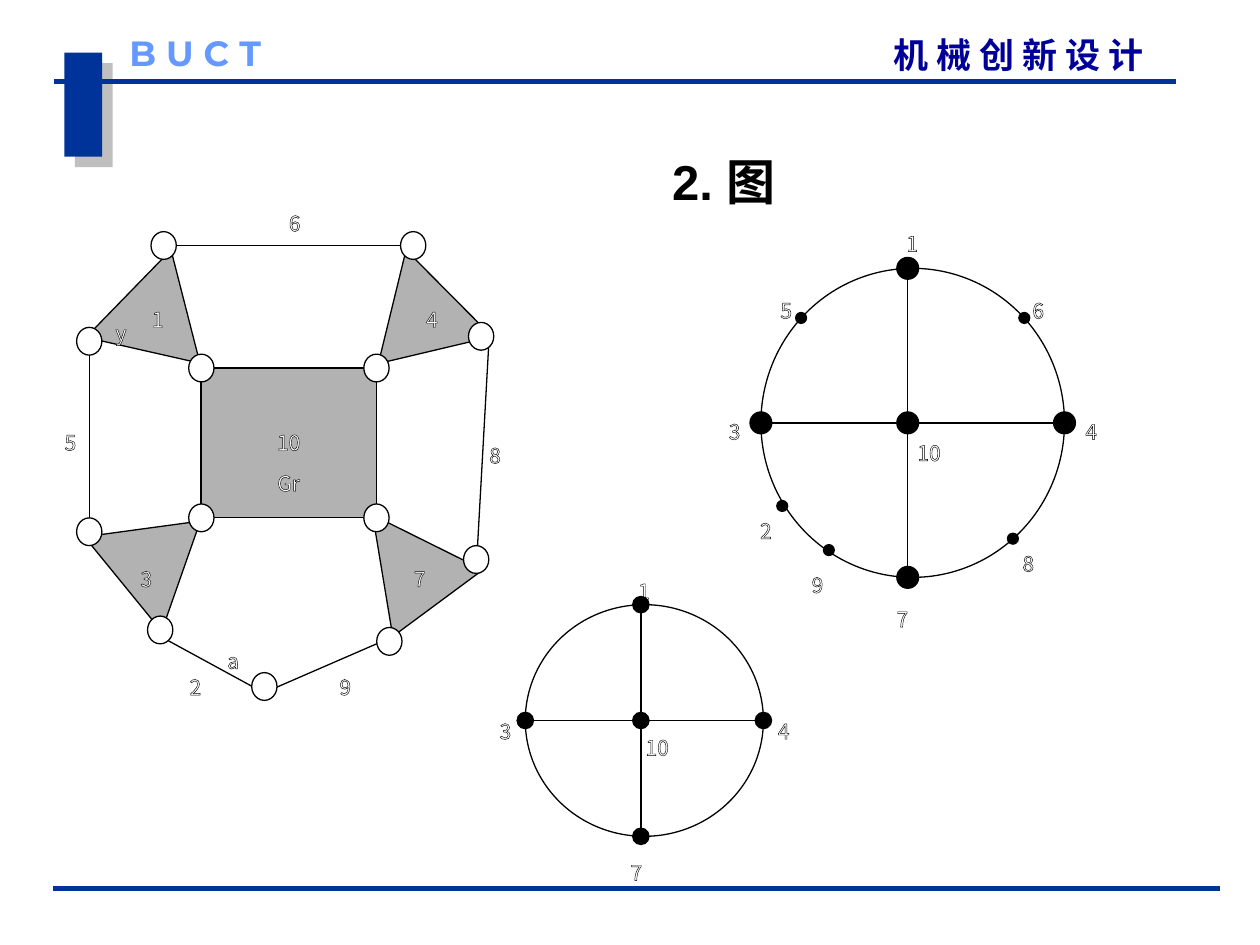
from dataclasses import dataclass

from lxml import etree
from pptx import Presentation
from pptx.dml.color import RGBColor
from pptx.enum.shapes import MSO_CONNECTOR, MSO_SHAPE
from pptx.enum.text import PP_ALIGN
from pptx.oxml import parse_xml
from pptx.oxml.ns import nsdecls, qn
from pptx.util import Cm, Pt

RECT, OVAL, TRIANGLE = MSO_SHAPE.RECTANGLE, MSO_SHAPE.OVAL, MSO_SHAPE.ISOSCELES_TRIANGLE
STRAIGHT = MSO_CONNECTOR.STRAIGHT
LEFT, CENTER = PP_ALIGN.LEFT, PP_ALIGN.CENTER


@dataclass(frozen=True)
class Theme:
    blue: str = "003399"
    navy: str = "000099"
    sky: str = "6699FF"
    black: str = "000000"
    white: str = "FFFFFF"
    gray: str = "B2B2B2"
    shadow: str = "808080"
    cjk: str = "Noto Sans CJK SC"
    brand: str = "Montserrat"
    latin: str = "Arial"
    title: int = 28
    header: int = 20
    label: int = 12
    thin: float = 0.75
    rule: float = 3


T = Theme()

prs = Presentation()
prs.slide_width, prs.slide_height = Cm(25.4), Cm(19.05)
s = prs.slides.add_slide(prs.slide_layouts[6])


def add_shape(kind, cx, cy, w, h, fill, line=T.black, angle=0):
    """Add a preset shape around its centre."""
    sp = s.shapes.add_shape(kind, Cm(cx - w / 2), Cm(cy - h / 2), Cm(w), Cm(h))
    sp.shadow.inherit = False
    sp.rotation = angle
    sp.fill.solid()
    sp.fill.fore_color.rgb = RGBColor.from_string(fill)
    if line:
        sp.line.color.rgb = RGBColor.from_string(line)
        sp.line.width = Pt(T.thin)
    else:
        sp.line.fill.background()
    return sp


def add_text(text, x, y, w, h, size, font, color, align=LEFT, bold=True):
    """Add a one-line text box without margins and return its paragraph."""
    tf = s.shapes.add_textbox(Cm(x), Cm(y), Cm(w), Cm(h)).text_frame
    tf.word_wrap = False
    tf.margin_left = tf.margin_right = tf.margin_top = tf.margin_bottom = 0
    p = tf.paragraphs[0]
    p.text = text
    p.alignment = align
    p.font.size, p.font.bold, p.font.name = Pt(size), bold, font
    p.font.color.rgb = RGBColor.from_string(color)
    rpr = p._p.pPr.find(qn("a:defRPr"))
    etree.SubElement(rpr, qn("a:ea")).set("typeface", T.cjk)
    return p


# Header: bar with shadow, institution, course name
bar = add_shape(RECT, 1.68, 2.11, 0.76, 2.1, T.blue, line=None)
effects = bar._element.spPr.find(qn("a:effectLst"))
effects.append(parse_xml(
    f'<a:outerShdw {nsdecls("a")} dist="{Pt(8.5)}" dir="2700000" algn="ctr" rotWithShape="0">'
    f'<a:srgbClr val="{T.shadow}"><a:alpha val="50000"/></a:srgbClr></a:outerShdw>'))
add_text("B U C T", 2.61, 0.64, 3.6, 0.84, T.header, T.brand, T.sky)
add_text("机 械 创 新 设 计", 18.02, 0.68, 5.8, 0.84, T.header, T.cjk, T.navy)

# Title
add_text("2. 图", 13.55, 3.05, 4.3, 1.2, T.title, T.latin, T.black)

# Header and footer rules, then the links of the mechanism
lines = [
    (1.09, 1.65, 23.7, 1.65, T.blue, T.rule),
    (1.07, 17.91, 24.59, 17.91, T.blue, T.rule),
]
links = [
    (3.3, 4.95, 8.33, 4.95), (9.86, 6.81, 9.6, 11.48), (1.8, 6.76, 1.8, 10.9),
    (3.18, 12.8, 5.18, 13.89), (5.31, 13.97, 7.82, 12.88),
]
lines += [(*link, T.black, T.thin) for link in links]

# Mechanism: frame and triangular links
add_shape(RECT, 5.82, 8.93, 3.53, 3.02, T.gray)
for cx, cy, w, h, angle in [
    (8.34, 6.62, 2.46, 2.01, 225.2), (3.31, 6.62, 2.46, 2.01, 134.2),
    (3.26, 11.14, 2.46, 2.01, 50.8), (8.17, 11.27, 2.26, 2.21, 323.5),
]:
    add_shape(TRIANGLE, cx, cy, w, h, T.gray, angle=angle)

# Graphs: circle, two chords and five main vertices each
nodes = []
for left, top, w, h, hub_x, d in [
    (15.34, 5.41, 6.12, 6.23, 18.3, 0.44),
    (10.59, 12.19, 4.8, 4.67, 12.92, 0.33),
]:
    right, bottom, hub_y = left + w, top + h, top + h / 2
    add_shape(OVAL, left + w / 2, hub_y, w, h, T.white)
    lines += [(left, hub_y, right, hub_y, T.black, T.thin),
              (hub_x, top, hub_x, bottom, T.black, T.thin)]
    nodes += [(x, y, d, d, T.black) for x, y in [
        (left, hub_y), (hub_x, hub_y), (right, hub_y), (hub_x, top), (hub_x, bottom)]]

for x1, y1, x2, y2, color, width in lines:
    c = s.shapes.add_connector(STRAIGHT, Cm(x1), Cm(y1), Cm(x2), Cm(y2))
    c.line.color.rgb = RGBColor.from_string(color)
    c.line.width = Pt(width)
    etree.SubElement(c._element.spPr, qn("a:effectLst"))

# Labels: text, centre, top
labels = [
    # mechanism
    ("1", 3.18, 6.18), ("2", 3.94, 13.59), ("3", 2.95, 11.41), ("4", 8.71, 6.18),
    ("5", 1.42, 8.66), ("6", 5.94, 4.24), ("7", 8.46, 11.41), ("8", 9.98, 8.92),
    ("9", 6.96, 13.59), ("10", 5.82, 8.66), ("Gr", 5.82, 9.48), ("a", 4.7, 13.06),
    ("y", 2.44, 6.45),
    # large graph
    ("1", 18.39, 4.65), ("2", 15.44, 10.44), ("3", 14.81, 8.44), ("4", 22, 8.44),
    ("5", 15.85, 6), ("6", 20.93, 6), ("7", 18.19, 12.22), ("8", 20.73, 11.1),
    ("9", 16.48, 11.53), ("10", 18.73, 8.87),
    # small graph
    ("1", 12.98, 11.66), ("3", 10.19, 14.48), ("4", 15.8, 14.48), ("7", 12.83, 17.33),
    ("10", 13.25, 14.81),
]
label_w, label_h = 0.8, 0.6
for text, cx, top in labels:
    p = add_text(text, cx - label_w / 2, top, label_w, label_h, T.label, T.cjk, T.white,
                 align=CENTER, bold=False)
    outline = parse_xml(
        f'<a:ln {nsdecls("a")} w="{Pt(T.thin)}"><a:solidFill>'
        f'<a:srgbClr val="{T.black}"/></a:solidFill></a:ln>')
    p._p.pPr.find(qn("a:defRPr")).insert(0, outline)

# Minor vertices of the large graph and joints of the mechanism
nodes += [(x, y, 0.22, 0.22, T.black) for x, y in [
    (16.71, 11.09), (15.77, 10.2), (20.42, 10.86), (20.65, 6.41), (16.15, 6.41)]]
nodes += [(x, y, 0.51, 0.56, T.white) for x, y in [
    (5.33, 13.84), (3.23, 12.7), (7.85, 12.93), (9.6, 11.28), (9.7, 6.78), (1.8, 10.72),
    (1.8, 6.88), (7.59, 10.44), (4.06, 10.44), (7.59, 7.42), (4.06, 7.42), (8.33, 4.95),
    (3.3, 4.95)]]
for node in nodes:
    add_shape(OVAL, *node)

prs.save("out.pptx")
